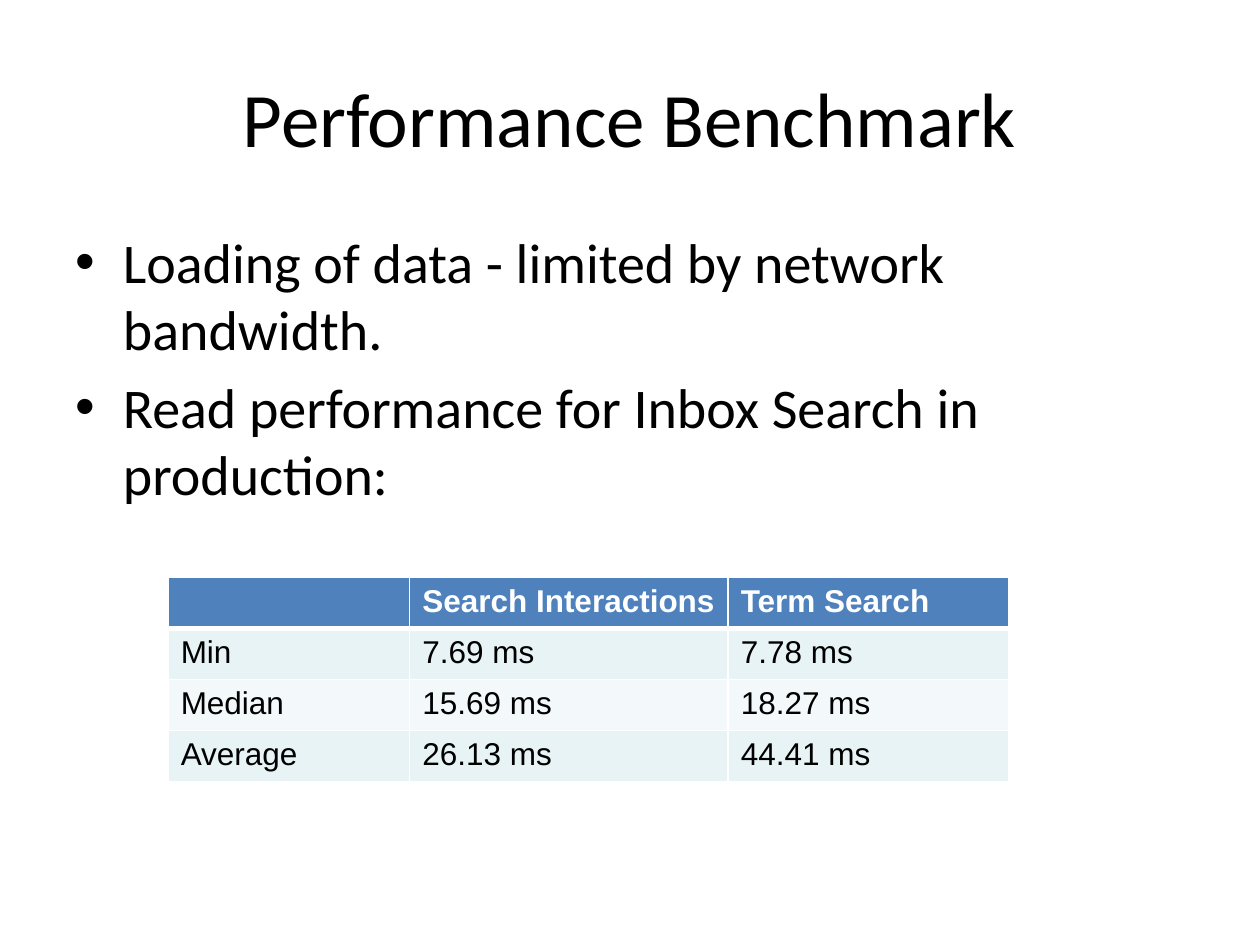
from dataclasses import dataclass

from lxml import etree
from pptx import Presentation, util as u
from pptx.dml.color import RGBColor
from pptx.enum import text
from pptx.oxml.ns import qn

BLACK, WHITE, HEADER_BLUE = "000000", "FFFFFF", "4F81BD"
BANDS = ("E7F3F4", "F3F9FA")


@dataclass
class Box:
    left: float
    top: float
    width: float
    height: float


@dataclass
class Timing:
    label: str
    interactions: str
    term: str


BULLETS = (
    "Loading of data - limited by network bandwidth.",
    "Read performance for Inbox Search in production:",
)
TIMINGS = (
    Timing("", "Search Interactions", "Term Search"),
    Timing("Min", "7.69 ms", "7.78 ms"),
    Timing("Median", "15.69 ms", "18.27 ms"),
    Timing("Average", "26.13 ms", "44.41 ms"),
)
COLUMN_WIDTHS = (4.87, 6.42, 5.65)
ROW_HEIGHT = 1.03


def rgb(color: str) -> RGBColor:
    return RGBColor.from_string(color)


def style_font(font, name: str, size: int, color: str) -> None:
    font.name, font.size = name, u.Pt(size)
    font.color.rgb = rgb(color)


def fill_placeholder(shape, box: Box, lines: tuple[str, ...], size: int) -> None:
    shape.left, shape.top = u.Cm(box.left), u.Cm(box.top)
    shape.width, shape.height = u.Cm(box.width), u.Cm(box.height)
    frame = shape.text_frame
    frame.text = "\n".join(lines)
    for para in frame.paragraphs:
        style_font(para.font, "Calibri", size, BLACK)


def add_border(cell, side: str, points: float) -> None:
    """Draw a white line on side L, R, T or B; call before the cell is filled."""
    properties = cell._tc.get_or_add_tcPr()
    line = etree.SubElement(properties, qn(f"a:ln{side}"), w=str(u.Pt(points)))
    fill = etree.SubElement(line, qn("a:solidFill"))
    etree.SubElement(fill, qn("a:srgbClr"), val=WHITE)


def style_cell(cell, row: int) -> None:
    header = row == 0
    for side in "LRTB":
        under_header = (row, side) in ((0, "B"), (1, "T"))
        add_border(cell, side, 3 if under_header else 1)
    cell.fill.solid()
    cell.fill.fore_color.rgb = rgb(HEADER_BLUE if header else BANDS[(row - 1) % 2])
    font = cell.text_frame.paragraphs[0].font
    style_font(font, "Arial", 18, WHITE if header else BLACK)
    font.bold = header


def add_timing_table(page, left: float, top: float) -> None:
    table = page.shapes.add_table(
        len(TIMINGS), len(COLUMN_WIDTHS), u.Cm(left), u.Cm(top),
        u.Cm(sum(COLUMN_WIDTHS)), u.Cm(ROW_HEIGHT * len(TIMINGS)),
    ).table
    for column, width in zip(table.columns, COLUMN_WIDTHS):
        column.width = u.Cm(width)
    for row, timing in enumerate(TIMINGS):
        table.rows[row].height = u.Cm(ROW_HEIGHT)
        values = (timing.label, timing.interactions, timing.term)
        for cell, value in zip(table.rows[row].cells, values):
            cell.text = value
            style_cell(cell, row)


def main() -> None:
    deck = Presentation()
    deck.slide_width, deck.slide_height = u.Cm(25.4), u.Cm(19.05)
    page = deck.slides.add_slide(deck.slide_layouts[1])
    title, body = page.placeholders
    fill_placeholder(title, Box(1.27, 0.76, 22.86, 3.18), ("Performance Benchmark",), 44)
    title.text_frame.vertical_anchor = text.MSO_ANCHOR.MIDDLE
    title.text_frame.paragraphs[0].alignment = text.PP_ALIGN.CENTER
    fill_placeholder(body, Box(1.27, 4.45, 22.86, 12.57), BULLETS, 32)
    add_timing_table(page, 3.39, 11.64)
    deck.save("out.pptx")


if __name__ == "__main__":
    main()
